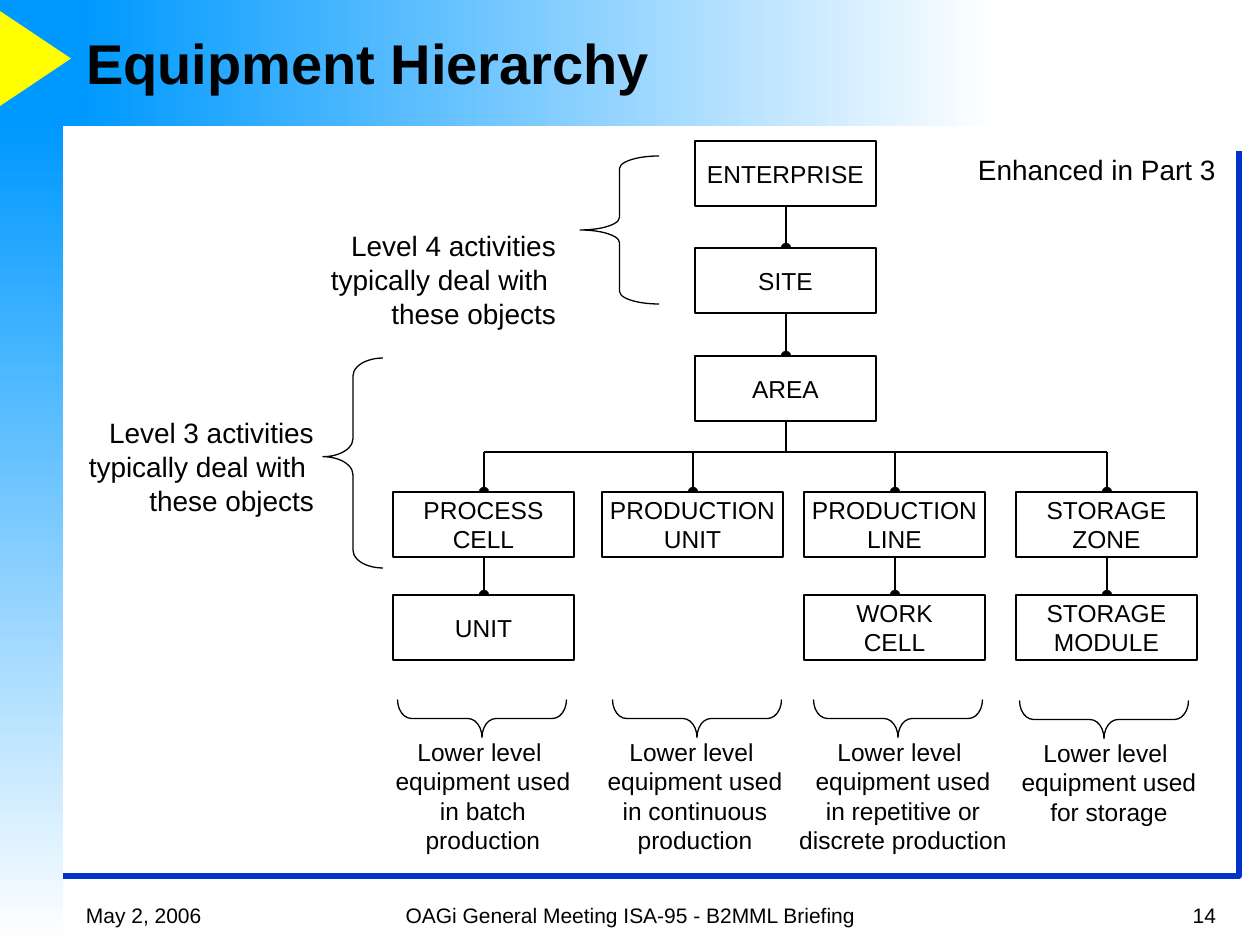
from itertools import pairwise

from lxml import etree
from pptx import Presentation, util as u
from pptx.dml.color import RGBColor
from pptx.enum import shapes, text
from pptx.oxml import ns

COLORS = {"ink": "000000", "paper": "FFFFFF", "sky": "0099FF",
          "frame": "0033CC", "sun": "FFFF00"}
ALIGN = {"left": text.PP_ALIGN.LEFT, "center": text.PP_ALIGN.CENTER,
         "right": text.PP_ALIGN.RIGHT}
BOX_W, BOX_H = 181, 65
HALF = 91


def px(length):
    return u.Emu(round(length * 914400 / 126))


def color(name):
    return RGBColor.from_string(COLORS[name])


class Sketch:
    font = "Arial"
    line_width = 0.75

    def __init__(self, page):
        self.page = page

    def shape(self, kind, x, y, w, h, fill=None, line=None, rotation=0):
        shape = self.page.shapes.add_shape(kind, px(x), px(y), px(w), px(h))
        shape.rotation = rotation
        self.paint(shape, fill, line, self.line_width)
        return shape

    def paint(self, shape, fill, line, width):
        shape.shadow.inherit = False
        if fill:
            shape.fill.solid()
            shape.fill.fore_color.rgb = color(fill)
        else:
            shape.fill.background()
        if line:
            shape.line.color.rgb = color(line)
            shape.line.width = u.Pt(width)
        else:
            shape.line.fill.background()

    def gradient(self, x, y, w, h, angle):
        band = self.shape(shapes.MSO_SHAPE.RECTANGLE, x, y, w, h)
        band.fill.gradient()
        band.fill.gradient_angle = angle
        for stop, name in zip(band.fill.gradient_stops, ("sky", "paper")):
            stop.color.rgb = color(name)

    def outline(self, points, line, width):
        start, *rest = [(px(x), px(y)) for x, y in points]
        builder = self.page.shapes.build_freeform(*start)
        builder.add_line_segments(rest, close=False)
        self.paint(builder.convert_to_shape(), None, line, width)

    def connector(self, x1, y1, x2, y2, dot=False):
        line = self.page.shapes.add_connector(
            shapes.MSO_CONNECTOR.STRAIGHT, px(x1), px(y1), px(x2), px(y2))
        line.line.color.rgb = color("ink")
        line.line.width = u.Pt(self.line_width)
        properties = line._element.spPr
        if dot:
            etree.SubElement(properties.get_or_add_ln(), ns.qn("a:tailEnd"), type="oval")
        etree.SubElement(properties, ns.qn("a:effectLst"))

    def brace(self, x, y, w, h, curve, tip=0.5, rotation=0):
        brace = self.shape(shapes.MSO_SHAPE.LEFT_BRACE, x, y, w, h,
                           line="ink", rotation=rotation)
        brace.adjustments[0] = curve
        brace.adjustments[1] = tip

    def set_text(self, shape, lines, size, align, anchor, wrap=False, bold=False, inset=(11, 5)):
        frame = shape.text_frame
        frame.word_wrap = wrap
        frame.vertical_anchor = anchor
        frame.margin_left = frame.margin_right = px(inset[0])
        frame.margin_top = frame.margin_bottom = px(inset[1])
        for index, line in enumerate(lines):
            para = frame.add_paragraph() if index else frame.paragraphs[0]
            para.alignment = ALIGN[align]
            span = para.add_run()
            span.text = line
            span.font.name = self.font
            span.font.size = u.Pt(size)
            span.font.bold = bold
            span.font.color.rgb = color("ink")

    def box(self, x, y, lines):
        box = self.shape(shapes.MSO_SHAPE.RECTANGLE, x, y, BOX_W, BOX_H, "paper", "ink")
        self.set_text(box, lines, 14, "center", text.MSO_ANCHOR.MIDDLE)

    def label(self, x, y, w, h, lines, size, align):
        label = self.page.shapes.add_textbox(px(x), px(y), px(w), px(h))
        self.set_text(label, lines, size, align, text.MSO_ANCHOR.TOP)
        label.text_frame.auto_size = text.MSO_AUTO_SIZE.SHAPE_TO_FIT_TEXT

    def heading(self, x, y, w, h, line, size, align, anchor, bold=False):
        heading = self.page.shapes.add_textbox(px(x), px(y), px(w), px(h))
        self.set_text(heading, [line], size, align, anchor, True, bold, (13, 6))


def draw_background(sketch):
    sketch.gradient(84, 0, 914, 126, 0)
    sketch.gradient(0, 126, 63, 819, 270)
    sketch.shape(shapes.MSO_SHAPE.RECTANGLE, 0, 0, 84, 126, "sky")
    sketch.shape(shapes.MSO_SHAPE.ISOSCELES_TRIANGLE, -12, 23, 95, 71, "sun", rotation=90)
    sketch.outline([(63, 876), (1239, 876), (1239, 151)], "frame", 3)


def draw_hierarchy(sketch):
    trunk_x, bus_y, upper_y, lower_y = 695, 452, 492, 595
    trunk = [(141, "ENTERPRISE"), (248, "SITE"), (356, "AREA")]
    branches = [
        (393, ["PROCESS", "CELL"], ["UNIT"]),
        (602, ["PRODUCTION", "UNIT"], None),
        (804, ["PRODUCTION", "LINE"], ["WORK", "CELL"]),
        (1016, ["STORAGE", "ZONE"], ["STORAGE", "MODULE"]),
    ]
    center = trunk_x + HALF
    for (top, _), (below, _) in pairwise(trunk):
        sketch.connector(center, top + BOX_H, center, below, dot=True)
    sketch.connector(center, trunk[-1][0] + BOX_H, center, bus_y)
    for (left, *_), (right, *_) in pairwise(branches):
        sketch.connector(left + HALF, bus_y, right + HALF, bus_y)
    for y, name in trunk:
        sketch.box(trunk_x, y, [name])
    for x, upper, lower in branches:
        sketch.connector(x + HALF, bus_y, x + HALF, upper_y, dot=True)
        if lower:
            sketch.connector(x + HALF, upper_y + BOX_H, x + HALF, lower_y, dot=True)
            sketch.box(x, lower_y, lower)
        sketch.box(x, upper_y, upper)


def draw_notes(sketch):
    sketch.brace(580, 156, 79, 148, 0.16)
    sketch.brace(323, 358, 60, 210, 0.3, 0.47)
    for x, y, level in ((319, 224, 4), (77, 411, 3)):
        lines = [f"Level {level} activities", "typically deal with ", "these objects"]
        sketch.label(x, y, 248, 112, lines, 16, "right")

    usages = [
        (482, 483, 198, 732, ["in batch", "production"]),
        (697, 695, 198, 732, ["in continuous", "production"]),
        (898, 903, 231, 732, ["in repetitive or", "discrete production"]),
        (1104, 1109, 198, 733, ["for storage"]),
    ]
    for tip_x, center, width, y, usage in usages:
        sketch.brace(tip_x - 19, y - 98, 38, 169, 0.37, rotation=270)
        lines = ["Lower level ", "equipment used", *usage]
        sketch.label(center - width / 2, y, width, 10 + 30 * len(lines), lines, 14, "center")
    sketch.label(967, 148, 261, 45, ["Enhanced in Part 3"], 16, "left")


def draw_headings(sketch):
    sketch.heading(73, 10, 924, 105, "Equipment Hierarchy", 32, "left",
                   text.MSO_ANCHOR.MIDDLE, bold=True)
    for x, w, line, align in (
        (73, 262, "May 2, 2006", "left"),
        (347, 567, "OAGi General Meeting ISA-95 - B2MML Briefing", "center"),
        (967, 262, "14", "right"),
    ):
        sketch.heading(x, 892, w, 42, line, 12, align, text.MSO_ANCHOR.BOTTOM)


def main():
    deck = Presentation()
    deck.slide_width, deck.slide_height = px(1260), px(945)
    sketch = Sketch(deck.slides.add_slide(deck.slide_layouts[6]))
    draw_background(sketch)
    draw_hierarchy(sketch)
    draw_notes(sketch)
    draw_headings(sketch)
    deck.save("out.pptx")


if __name__ == "__main__":
    main()
